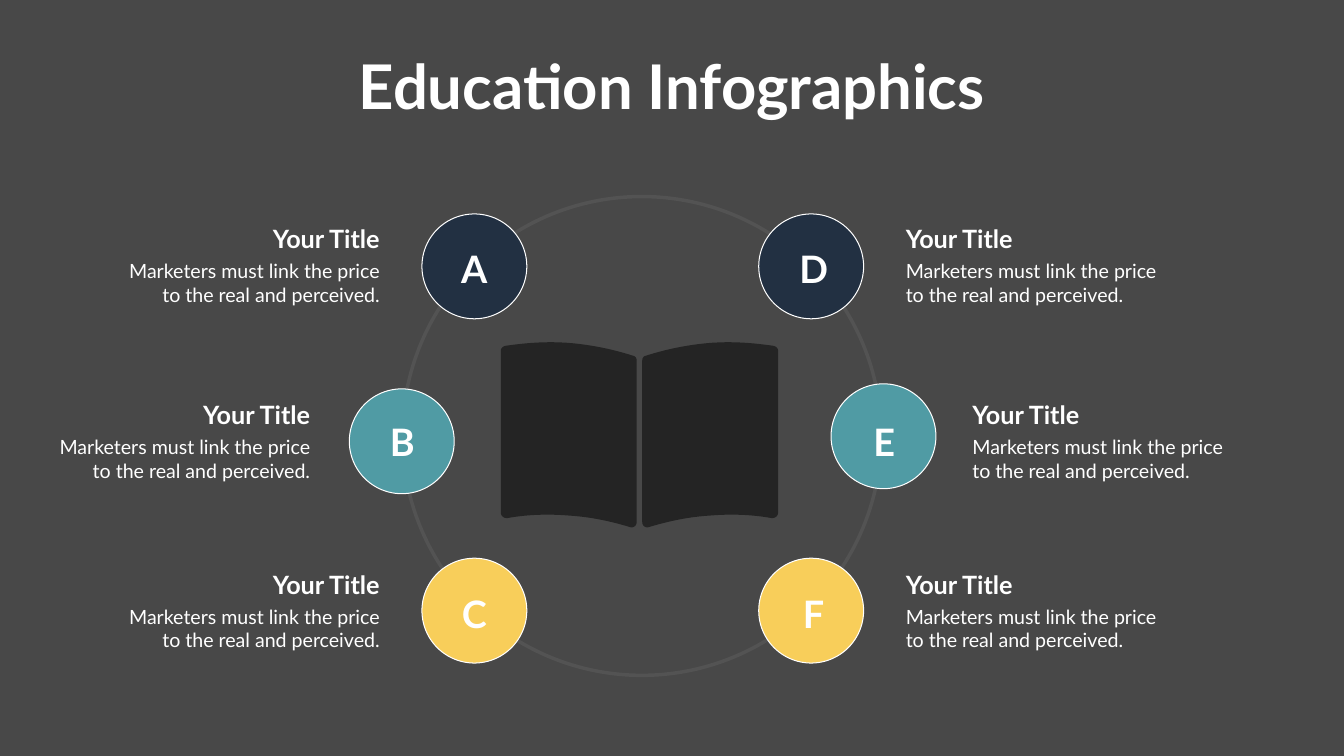
from lxml.etree import SubElement
from pptx import Presentation
from pptx.dml.color import RGBColor
from pptx.enum.shapes import MSO_SHAPE as Shape
from pptx.enum.text import MSO_ANCHOR as Anchor, MSO_AUTO_SIZE as AutoSize, PP_ALIGN as Align
from pptx.oxml.ns import qn
from pptx.util import Pt

COLORS = {
    "background": "484848",
    "book": "242424",
    "ring": "808080",
    "white": "FFFFFF",
    "navy": "223042",
    "teal": "509BA4",
    "yellow": "F8CE5A",
}
FONT = "Lato"
HEADLINE = "Education Infographics"
CAPTION_TITLE = "Your Title"
CAPTION_BODY = "Marketers must link the price to the real and perceived."

ROWS = [
    {"color": "navy", "letter_y": 384.1, "caption_top": 315.4},
    {"color": "teal", "letter_y": 630.4, "caption_top": 567.2},
    {"color": "yellow", "letter_y": 877.3, "caption_top": 809.4},
]
TOPICS = [
    ("A", 0, (677.5, 380.5), 677.5, 170, Align.RIGHT),
    ("B", 1, (573.8, 630.4), 574.6, 70.6, Align.RIGHT),
    ("C", 2, (677.5, 872.3), 677.5, 170, Align.RIGHT),
    ("D", 0, (1158.5, 380.5), 1162.1, 1286.6, Align.LEFT),
    ("E", 1, (1261.8, 623.2), 1262.9, 1381.7, Align.LEFT),
    ("F", 2, (1158.5, 872.3), 1162.1, 1286.6, Align.LEFT),
]
DISC = 149.8
RING = (916.7, 622.8, 684)
LETTER_SIZE = (96.5, 72.7)
CAPTION_WIDTH, CAPTION_TITLE_HEIGHT, CAPTION_BODY_HEIGHT = 379.4, 51, 74.9

SPINE = 913.3
LEAF_START = (198, 732.2)
LEAF_CURVES = [
    [(198, 737.3), (193.7, 740.2), (189, 740.2)],
    [(166, 736), (136, 733.6), (101, 736.5)],
    [(67, 738.5), (36.5, 746), (13.5, 753)],
    [(8.5, 754.5), (4, 751), (4, 746)],
    [(4, 746), (4, 514.8), (4, 514.8)],
    [(4, 512), (5.5, 509), (9, 508.3)],
    [(31.5, 501), (60, 494), (94, 490.5)],
    [(133, 486.7), (166, 490.5), (191, 494)],
    [(194.7, 494.6), (198, 497.5), (198, 501)],
]
CURVE_STEPS = 12


def color(name):
    return RGBColor.from_string(COLORS[name])


def write(box, text, size, align, bold=False, wrap=True):
    frame = box.text_frame
    frame.word_wrap = wrap
    frame.auto_size = AutoSize.SHAPE_TO_FIT_TEXT
    frame.vertical_anchor = Anchor.TOP
    para = frame.paragraphs[0]
    para.alignment = align
    span = para.add_run()
    span.text = text
    span.font.name = FONT
    span.font.size = Pt(size)
    span.font.bold = bold
    span.font.color.rgb = color("white")


def place(box, left, top, width, height):
    box.left, box.top, box.width, box.height = Pt(left), Pt(top), Pt(width), Pt(height)


def add_circle(page, x, y, diameter, line_color, line_width, fill=None):
    circle = page.shapes.add_shape(
        Shape.OVAL, Pt(x - diameter / 2), Pt(y - diameter / 2), Pt(diameter), Pt(diameter))
    circle.shadow.inherit = False
    if fill:
        circle.fill.solid()
        circle.fill.fore_color.rgb = color(fill)
    else:
        circle.fill.background()
    circle.line.color.rgb = color(line_color)
    circle.line.width = Pt(line_width)
    return circle


def add_ring(page):
    x, y, diameter = RING
    ring = add_circle(page, x, y, diameter, "ring", 5)
    shade = next(ring.line._ln.iter(qn("a:srgbClr")))
    SubElement(shade, qn("a:alpha"), val="20000")


def leaf_points():
    points, start = [LEAF_START], LEAF_START
    for first, second, end in LEAF_CURVES:
        for step in range(1, CURVE_STEPS + 1):
            t = step / CURVE_STEPS
            u = 1 - t
            points.append(tuple(
                u**3 * a + 3 * u * u * t * b + 3 * u * t * t * c + t**3 * d
                for a, b, c, d in zip(start, first, second, end)))
        start = end
    return points


def add_leaf(page, side):
    points = [(Pt(SPINE + side * x), Pt(y)) for x, y in leaf_points()]
    builder = page.shapes.build_freeform(*points[0])
    builder.add_line_segments(points[1:], close=True)
    leaf = builder.convert_to_shape()
    leaf.shadow.inherit = False
    leaf.fill.solid()
    leaf.fill.fore_color.rgb = color("book")
    leaf.line.fill.background()


def add_text(shapes, left, top, width, height, *args, **kwargs):
    box = shapes.add_textbox(Pt(left), Pt(top), Pt(width), Pt(height))
    write(box, *args, **kwargs)


def add_caption(page, left, top, align):
    group = page.shapes.add_group_shape()
    add_text(group.shapes, left, top + CAPTION_TITLE_HEIGHT, CAPTION_WIDTH,
             CAPTION_BODY_HEIGHT, CAPTION_BODY, 28, align)
    add_text(group.shapes, left, top, CAPTION_WIDTH,
             CAPTION_TITLE_HEIGHT, CAPTION_TITLE, 36, align, bold=True)


def main():
    deck = Presentation()
    deck.slide_width, deck.slide_height = Pt(1919.52), Pt(1080)
    page = deck.slides.add_slide(deck.slide_layouts[5])
    page.background.fill.solid()
    page.background.fill.fore_color.rgb = color("background")

    title = page.shapes.title
    place(title, 495.4, 65.5, 928, 113.8)
    write(title, HEADLINE, 88, Align.CENTER, bold=True, wrap=False)

    for side in (1, -1):
        add_leaf(page, side)
    add_ring(page)

    letter_width, letter_height = LETTER_SIZE
    for letter, row_index, (x, y), letter_x, caption_left, align in TOPICS:
        row = ROWS[row_index]
        add_circle(page, x, y, DISC, "white", 1.45, row["color"])
        add_caption(page, caption_left, row["caption_top"], align)
        add_text(page.shapes, letter_x - letter_width / 2, row["letter_y"] - letter_height / 2,
                 letter_width, letter_height, letter, 54, Align.CENTER, bold=True)

    deck.save("out.pptx")


if __name__ == "__main__":
    main()
